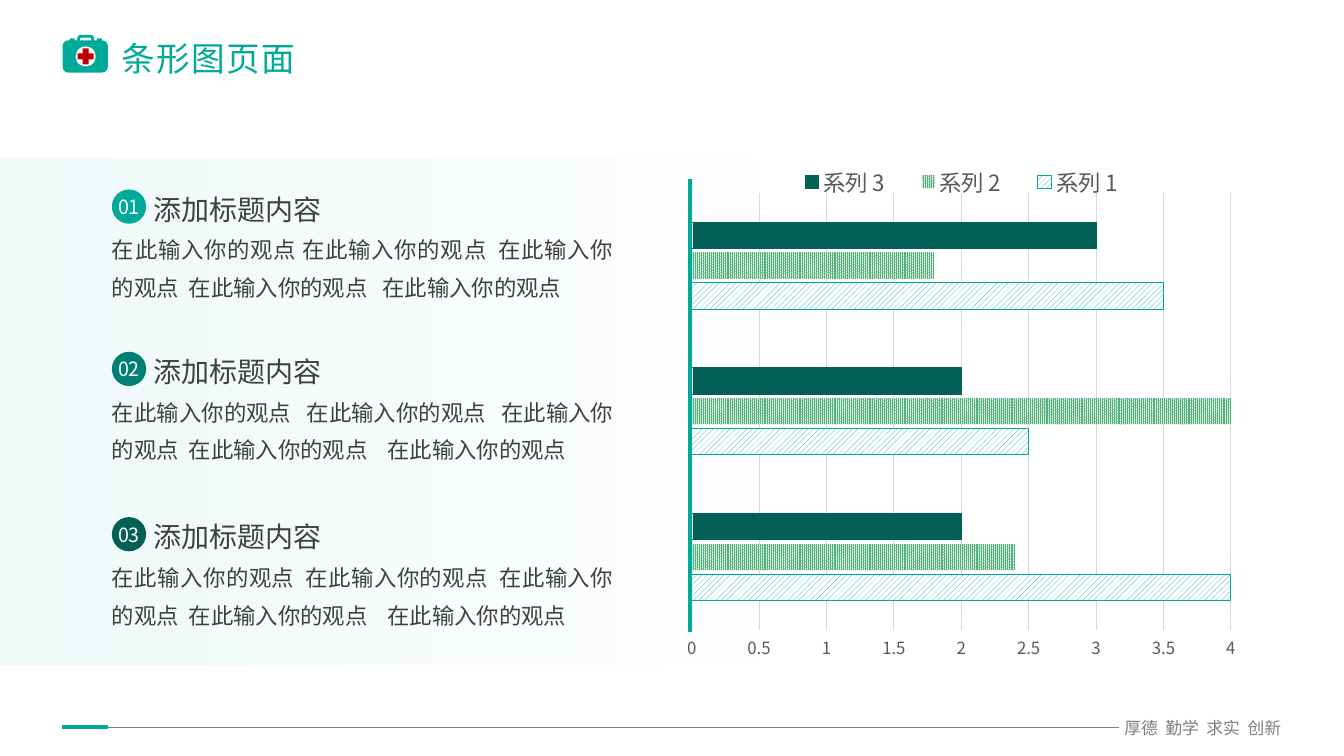
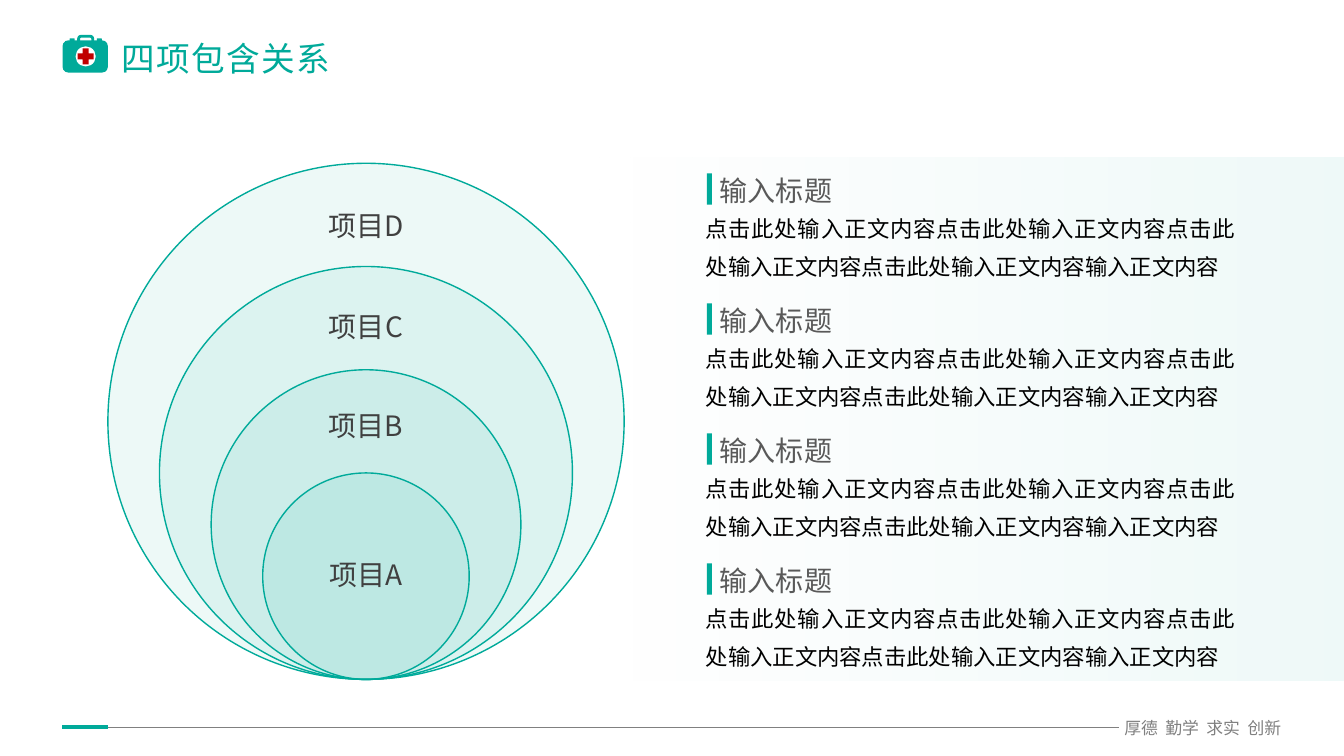
from lxml.etree import SubElement
from pptx import Presentation
from pptx.chart.data import CategoryChartData
from pptx.dml.color import RGBColor
from pptx.enum.chart import XL_CHART_TYPE as Kind, XL_LEGEND_POSITION as Spot, XL_TICK_MARK as Tick
from pptx.enum.dml import MSO_PATTERN as Pat
from pptx.enum.shapes import MSO_CONNECTOR as Link, MSO_SHAPE as Form
from pptx.enum.text import MSO_ANCHOR as Anchor, PP_ALIGN as Align
from pptx.oxml import parse_xml
from pptx.oxml.ns import nsdecls, qn
from pptx.util import Inches, Pt

TEAL = RGBColor(0x00, 0xAA, 0x9A)
MID = RGBColor(0x00, 0x80, 0x74)
DEEP = RGBColor(0x03, 0x60, 0x57)
GREEN = RGBColor(0x56, 0xB2, 0x7B)
RED = RGBColor(0xC0, 0x00, 0x00)
WHITE = RGBColor(0xFF, 0xFF, 0xFF)
BLACK = RGBColor(0x00, 0x00, 0x00)
INK = RGBColor(0x40, 0x40, 0x40)
SOFT = RGBColor(0x59, 0x59, 0x59)
GRAY = RGBColor(0x80, 0x80, 0x80)
PALE = RGBColor(0xD9, 0xD9, 0xD9)
FONT = "Noto Sans CJK JP"


class Deck:
    def __init__(self):
        self.prs = Presentation()
        self.prs.slide_width, self.prs.slide_height = Inches(13.33), Inches(7.5)
        self.base = self.prs.slide_layouts[5]
        self.slide = None

    def start(self, title):
        first = self.slide is None
        self.slide = self.prs.slides.add_slide(self.base)
        if first:
            self.frame()
        head = self.slide.shapes.title
        self.place(head, 1.21, 0.32, 8.66, 0.51)
        self.label(head, title, 24, TEAL, pad=(0, 0.05), anchor=Anchor.MIDDLE)
        for run in head.text_frame.paragraphs[0].runs:
            run.font._element.set("spc", "100")

    def frame(self):
        for spot in list(self.base.placeholders)[1:]:
            spot.element.getparent().remove(spot.element)
        parts = [
            self.text(11.11, 7.12, 1.64, 0.2, "厚德  勤学  求实  创新", 12, GRAY, align=Align.CENTER),
            self.line(0.62, 7.22, 11.1, 7.22, GRAY, 0.5),
            self.line(0.62, 7.21, 1.07, 7.21, TEAL, 3),
            self.shape(Form.ROUNDED_RECTANGLE, 0.62, 0.4, 0.45, 0.32, TEAL, adj=0.18),
            self.shape(Form.ROUNDED_RECTANGLE, 0.69, 0.38, 0.05, 0.04, TEAL),
            self.shape(Form.ROUNDED_RECTANGLE, 0.96, 0.38, 0.05, 0.04, TEAL),
            self.shape(Form.ROUNDED_RECTANGLE, 0.78, 0.36, 0.14, 0.1, None, TEAL, 2, adj=0.25),
            self.shape(Form.OVAL, 0.75, 0.46, 0.2, 0.2, WHITE),
            self.shape(Form.CROSS, 0.77, 0.48, 0.16, 0.16, RED, adj=0.32),
        ]
        for part in parts:
            self.base.shapes.element.append(part.element)

    def place(self, item, x, y, w, h):
        item.left, item.top, item.width, item.height = map(Inches, (x, y, w, h))

    def label(self, item, words, size, color, align=Align.LEFT, gap=None,
              pad=(0, 0), anchor=Anchor.TOP, wrap=True):
        box = item.text_frame
        box.text = words
        box.word_wrap, box.vertical_anchor = wrap, anchor
        box.margin_left = box.margin_right = Inches(pad[0])
        box.margin_top = box.margin_bottom = Inches(pad[1])
        for para in box.paragraphs:
            para.alignment, para.line_spacing = align, gap
            for run in para.runs:
                run.font.size, run.font.name = Pt(size), FONT
                run.font.color.rgb = color
                SubElement(run.font._element, qn("a:ea")).set("typeface", FONT)

    def text(self, x, y, w, h, words, size, color, **style):
        box = self.slide.shapes.add_textbox(*map(Inches, (x, y, w, h)))
        self.label(box, words, size, color, **style)
        return box

    def shape(self, form, x, y, w, h, fill, edge=None, width=1, adj=None, alpha=None):
        item = self.slide.shapes.add_shape(form, *map(Inches, (x, y, w, h)))
        item.shadow.inherit = False
        if adj is not None:
            item.adjustments[0] = adj
        if fill is None:
            item.fill.background()
        else:
            item.fill.solid()
            item.fill.fore_color.rgb = fill
        if alpha is not None:
            self.fade(item, alpha)
        if edge is None:
            item.line.fill.background()
        else:
            item.line.color.rgb, item.line.width = edge, Pt(width)
        return item

    def fade(self, item, *alphas):
        for tint, alpha in zip(item.element.iter(qn("a:srgbClr")), alphas):
            SubElement(tint, qn("a:alpha")).set("val", str(alpha * 1000))

    def band(self, x, y, w, h, *alphas):
        item = self.shape(Form.RECTANGLE, x, y, w, h, None)
        item.fill.gradient()
        item.fill.gradient_angle = 0
        for stop, spot in zip(item.fill.gradient_stops, (0, 1)):
            stop.color.rgb, stop.position = TEAL, spot
        self.fade(item, *alphas)

    def line(self, x, y, to_x, to_y, color, width):
        item = self.slide.shapes.add_connector(Link.STRAIGHT, *map(Inches, (x, y, to_x, to_y)))
        item.line.color.rgb, item.line.width = color, Pt(width)
        SubElement(item.element.spPr, qn("a:effectLst"))
        return item

    def layout(self, x, y, w, h, inner=False):
        target = '<c:layoutTarget val="inner"/>' if inner else ""
        sizes = "".join(f'<c:{tag} val="{val}"/>' for tag, val in zip("xywh", (x, y, w, h)))
        modes = '<c:xMode val="edge"/><c:yMode val="edge"/>'
        return parse_xml(f'<c:layout {nsdecls("c")}><c:manualLayout>{target}{modes}{sizes}'
                         '</c:manualLayout></c:layout>')

    def font(self, font, size, color):
        font.name, font.size, font.color.rgb = FONT, Pt(size), color

    def bars(self, x, y, w, h, cats, rows):
        data = CategoryChartData()
        data.categories = cats
        for name, vals, *_ in rows:
            data.add_series(name, vals)
        chart = self.slide.shapes.add_chart(
            Kind.BAR_CLUSTERED, *map(Inches, (x, y, w, h)), data).chart
        chart.has_title, chart.has_legend = False, True
        self.font(chart.font, 10, BLACK)
        legend = chart.legend
        legend.position, legend.include_in_layout = Spot.BOTTOM, False
        self.font(legend.font, 16, SOFT)
        plot = chart.plots[0]
        plot.gap_width, plot.overlap, plot.vary_by_categories = 225, -16, False
        for bar, (_, _, pat, color, edge) in zip(plot.series, rows):
            fill = bar.format.fill
            fill.patterned()
            fill.pattern = pat
            fill.fore_color.rgb, fill.back_color.rgb = color, WHITE
            if edge:
                bar.format.line.color.rgb, bar.format.line.width = color, Pt(0.75)
            else:
                bar.format.line.fill.background()
        chart.category_axis.visible = False
        axis = chart.value_axis
        axis.minimum_scale, axis.maximum_scale, axis.major_unit = 0, 4, 0.5
        axis.major_tick_mark = axis.minor_tick_mark = Tick.NONE
        axis.format.line.fill.background()
        grid = axis.major_gridlines.format.line
        grid.color.rgb, grid.width = PALE, Pt(0.75)
        self.font(axis.tick_labels.font, 12, SOFT)
        root = chart.element
        area = next(root.iter(qn("c:plotArea")))
        spot = next(root.iter(qn("c:legendPos")))
        for part in (area, spot.getparent()):
            for old in part.findall(qn("c:layout")):
                part.remove(old)
        area.insert(0, self.layout(0.035, 0.066, 0.93, 0.838, True))
        spot.addnext(self.layout(0.18, 0.01, 0.64, 0.07))
        for latin in list(root.iter(qn("a:latin"))):
            latin.addnext(parse_xml(f'<a:ea {nsdecls("a")} typeface="{FONT}"/>'))

    def point(self, y, mark, color, body):
        self.text(1.11, y + 0.4, 4.98, 0.72, body, 16, INK, align=Align.JUSTIFY, gap=1.4)
        self.text(1.52, y, 1.77, 0.38, "添加标题内容", 20, INK, gap=1.2)
        dot = self.shape(Form.OVAL, 1.11, y + 0.04, 0.34, 0.34, color)
        self.label(dot, mark, 14, WHITE, align=Align.CENTER, anchor=Anchor.MIDDLE, wrap=False)

    def note(self, y, head, body):
        self.shape(Form.RECTANGLE, 7.01, y, 0.05, 0.31, TEAL)
        self.text(7, y + 0.26, 5.26, 0.88, body, 16, BLACK,
                  align=Align.JUSTIFY, gap=1.4, pad=(0, 0.05))
        self.text(7.14, y - 0.05, 2.02, 0.37, head, 20, SOFT, pad=(0, 0.05))

    def ring(self, size, mid, name):
        x, base = 3.63, 6.74
        self.shape(Form.OVAL, x - size / 2, base - size, size, size, TEAL, TEAL, alpha=7)
        self.text(x - 0.72, mid - 0.35, 1.44, 0.7, name, 20, INK, align=Align.CENTER,
                  gap=0.9, pad=(0.16, 0.16), anchor=Anchor.MIDDLE)


def main():
    deck = Deck()

    deck.start("条形图页面")
    deck.band(0, 1.57, 8.16, 5.02, 7, 0)
    points = [
        (1.84, TEAL, "在此输入你的观点 在此输入你的观点  在此输入你的观点  在此输入你的观点   在此输入你的观点"),
        (3.45, MID, "在此输入你的观点   在此输入你的观点   在此输入你的观点  在此输入你的观点    在此输入你的观点"),
        (5.09, DEEP, "在此输入你的观点  在此输入你的观点  在此输入你的观点  在此输入你的观点    在此输入你的观点"),
    ]
    for num, (y, color, body) in enumerate(points, 1):
        deck.point(y, f"{num:02}", color, body)
    deck.bars(6.66, 1.57, 5.75, 5.18, ["1", "2", "3"], [
        ("系列 1", (4.3, 2.5, 3.5), Pat.WIDE_UPWARD_DIAGONAL, TEAL, True),
        ("系列 2", (2.4, 4.4, 1.8), Pat.PERCENT_90, GREEN, False),
        ("系列 3", (2, 2, 3), Pat.DARK_VERTICAL, DEEP, True),
    ])
    deck.line(6.84, 6.27, 6.84, 1.78, TEAL, 3)

    deck.start("四项包含关系")
    deck.band(5.64, 1.56, 7.69, 5.19, 0, 7)
    for num, (mid, name) in enumerate(zip((2.26, 3.26, 4.24, 5.72), "DCBA")):
        deck.ring(5.12 * (5 - num) / 5, mid, f"项目{name}")
    body = "点击此处输入正文内容" * 4 + "输入正文内容"
    for num in range(4):
        deck.note(1.72 + 1.29 * num, "输入标题", body)

    deck.prs.save("out.pptx")


if __name__ == "__main__":
    main()
